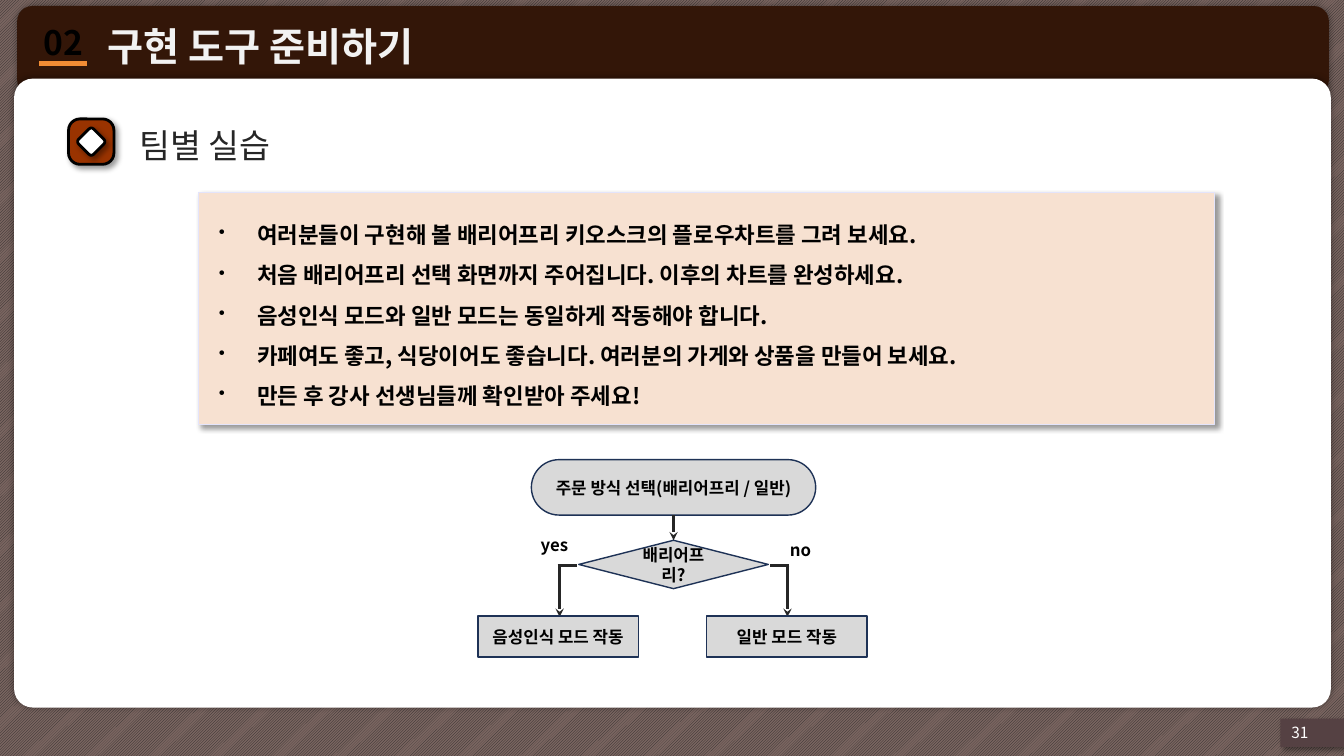
from lxml.etree import SubElement
from pptx import Presentation
from pptx.dml.color import RGBColor
from pptx.enum.dml import MSO_PATTERN
from pptx.enum.shapes import MSO_CONNECTOR, MSO_SHAPE
from pptx.enum.text import MSO_ANCHOR, MSO_AUTO_SIZE, PP_ALIGN
from pptx.oxml.ns import qn
from pptx.util import Emu, Pt

PX = 9144  # 100 px to the inch
FONT = "Noto Sans CJK KR"
BLACK = RGBColor(0x00, 0x00, 0x00)
WHITE = RGBColor(0xFF, 0xFF, 0xFF)
INK = RGBColor(0x26, 0x26, 0x26)
TITLE_GREY = RGBColor(0xF2, 0xF2, 0xF2)
TAUPE = RGBColor(0x7A, 0x65, 0x60)
BROWN = RGBColor(0x33, 0x16, 0x08)
PLUM = RGBColor(0x55, 0x41, 0x43)
ORANGE = RGBColor(0xF2, 0x8C, 0x34)
RUST = RGBColor(0x99, 0x33, 0x00)
PEACH = RGBColor(0xF7, 0xE1, 0xD1)
LAVENDER = RGBColor(0xE3, 0xE4, 0xFB)
NODE_FILL = RGBColor(0xD9, 0xD9, 0xD9)
NAVY = RGBColor(0x1E, 0x32, 0x56)

# Blur and distance in points, direction in degrees
GLOW = (5, 0, 0)
DROP = (4, 3, 45)

TASKS = [
    "여러분들이 구현해 볼 배리어프리 키오스크의 플로우차트를 그려 보세요.",
    "처음 배리어프리 선택 화면까지 주어집니다. 이후의 차트를 완성하세요.",
    "음성인식 모드와 일반 모드는 동일하게 작동해야 합니다.",
    "카페여도 좋고, 식당이어도 좋습니다. 여러분의 가게와 상품을 만들어 보세요.",
    "만든 후 강사 선생님들께 확인받아 주세요!",
]


def box(*lengths):
    return [Emu(length * PX) for length in lengths]


def add_run(paragraph, text, size, color=BLACK, bold=False):
    run = paragraph.add_run()
    run.text = text
    font = run.font
    font.size, font.bold, font.name = Pt(size), bold, FONT
    font.color.rgb = color
    SubElement(font._element, qn("a:ea"), typeface=FONT)


def set_frame(frame, anchor, insets=(10, 5, 10, 5), wrap=True):
    frame.word_wrap = wrap
    frame.auto_size = MSO_AUTO_SIZE.NONE
    frame.vertical_anchor = anchor
    (frame.margin_left, frame.margin_top,
     frame.margin_right, frame.margin_bottom) = box(*insets)


def add_label(slide, place, text, size, color=BLACK, bold=False,
              align=PP_ALIGN.LEFT, anchor=MSO_ANCHOR.TOP, **frame_options):
    frame = slide.shapes.add_textbox(*box(*place)).text_frame
    set_frame(frame, anchor, **frame_options)
    frame.paragraphs[0].alignment = align
    add_run(frame.paragraphs[0], text, size, color, bold)


def add_panel(slide, kind, place, fill, line=None, width=1, corner=None, shadow=None):
    panel = slide.shapes.add_shape(kind, *box(*place))
    if corner is not None:
        panel.adjustments[0] = corner
    panel.fill.solid()
    panel.fill.fore_color.rgb = fill
    if line is None:
        panel.line.fill.background()
    else:
        panel.line.color.rgb = line
        panel.line.width = Pt(width)
    panel.shadow.inherit = False
    if shadow:
        blur, distance, angle = shadow
        effects = panel.element.spPr.find(qn("a:effectLst"))
        outer = SubElement(effects, qn("a:outerShdw"), blurRad=str(Pt(blur)),
                           dist=str(Pt(distance)), dir=str(angle * 60000),
                           algn="ctr", rotWithShape="0")
        color = SubElement(outer, qn("a:srgbClr"), val=str(BLACK))
        SubElement(color, qn("a:alpha"), val="40000")
    return panel


def add_line(slide, start, end, color=INK, width=2, arrow=False):
    line = slide.shapes.add_connector(MSO_CONNECTOR.STRAIGHT, *box(*start, *end))
    line.line.color.rgb = color
    line.line.width = Pt(width)
    if arrow:
        SubElement(line.line._get_or_add_ln(), qn("a:tailEnd"), type="stealth")
    SubElement(line.element.spPr, qn("a:effectLst"))


def add_node(slide, kind, place, text, corner=None):
    node = add_panel(slide, kind, place, NODE_FILL, NAVY, corner=corner)
    set_frame(node.text_frame, MSO_ANCHOR.MIDDLE)
    paragraph = node.text_frame.paragraphs[0]
    paragraph.alignment = PP_ALIGN.CENTER
    add_run(paragraph, text, 12, bold=True)


def add_backdrop(slide):
    hatch = add_panel(slide, MSO_SHAPE.RECTANGLE, (-2, -9, 1338, 767), TAUPE)
    hatch.fill.patterned()
    hatch.fill.pattern = MSO_PATTERN.LIGHT_UPWARD_DIAGONAL
    hatch.fill.fore_color.rgb = INK
    hatch.fill.back_color.rgb = TAUPE
    rounded = MSO_SHAPE.ROUNDED_RECTANGLE
    add_panel(slide, rounded, (17, 6, 1301, 88), BROWN, corner=0.17, shadow=GLOW)
    add_panel(slide, rounded, (14, 78, 1306, 624), WHITE, corner=0.03, shadow=GLOW)
    add_panel(slide, rounded, (1270, 713, 66, 28), PLUM, corner=0, shadow=DROP)


def add_header(slide):
    add_line(slide, (39, 63), (86, 63), ORANGE, 3)
    add_label(slide, (31, 17, 64, 50), "02", 24, bold=True,
              align=PP_ALIGN.CENTER, wrap=False)
    title = slide.shapes.title
    title.left, title.top, title.width, title.height = box(100, 15, 860, 60)
    set_frame(title.text_frame, MSO_ANCHOR.MIDDLE, insets=(7, 7, 7, 7))
    heading = title.text_frame.paragraphs[0]
    heading.alignment = PP_ALIGN.LEFT
    add_run(heading, "구현 도구 준비하기", 28, TITLE_GREY, True)
    slide.shapes.element.append(title.element)  # in front of the backdrop
    add_label(slide, (1271, 707, 76, 40), "31", 11, WHITE, anchor=MSO_ANCHOR.MIDDLE)


def add_section(slide):
    add_label(slide, (131, 117, 822, 54), "팀별 실습", 24, INK, insets=(7, 7, 7, 7))
    rounded = MSO_SHAPE.ROUNDED_RECTANGLE
    add_panel(slide, rounded, (68, 118, 45, 45), RUST, BLACK, 2, 0.25, DROP)
    diamond = add_panel(slide, rounded, (80, 130, 21, 21), WHITE, BLACK, 2, 0.15, DROP)
    diamond.rotation = 45


def add_tasks(slide):
    card = add_panel(slide, MSO_SHAPE.RECTANGLE, (197, 191, 1008, 230),
                     PEACH, LAVENDER, 0.75, shadow=DROP)
    frame = card.text_frame
    set_frame(frame, MSO_ANCHOR.MIDDLE, insets=(20, 5, 5, 5))
    for index, task in enumerate(TASKS):
        paragraph = frame.add_paragraph() if index else frame.paragraphs[0]
        properties = paragraph._p.get_or_add_pPr()
        properties.set("marL", str(38 * PX))
        properties.set("indent", str(-38 * PX))
        SubElement(properties, qn("a:buSzPct"), val="80000")
        SubElement(properties, qn("a:buChar"), char="•")
        paragraph.alignment = PP_ALIGN.LEFT
        paragraph.line_spacing = 1.5
        add_run(paragraph, task, 16, bold=True)


def add_flowchart(slide):
    center = 668
    add_node(slide, MSO_SHAPE.ROUNDED_RECTANGLE, (527, 456, 282, 55),
             "주문 방식 선택(배리어프리 / 일반)", corner=0.5)
    add_line(slide, (center, 511), (center, 536), arrow=True)
    add_node(slide, MSO_SHAPE.FLOWCHART_DECISION, (574, 536, 188, 48), "배리어프리?")
    # Branches mirror each other around the decision
    branches = [(-1, "yes", (506, 526), "음성인식 모드 작동"),
                (1, "no", (750, 531), "일반 모드 작동")]
    for side, answer, corner, mode in branches:
        drop = center + side * 113
        add_line(slide, (drop, 561), (drop, 612), arrow=True)
        add_line(slide, (drop + side * 2, 561), (drop - side * 17, 561))
        add_label(slide, (*corner, 88, 30), answer, 12, bold=True, align=PP_ALIGN.CENTER)
        add_node(slide, MSO_SHAPE.ROUNDED_RECTANGLE, (drop - 81 + (side > 0), 611, 159, 41),
                 mode, corner=0)


def main():
    presentation = Presentation()
    presentation.slide_width, presentation.slide_height = box(1333, 750)
    slide = presentation.slides.add_slide(presentation.slide_layouts[5])
    add_backdrop(slide)
    add_header(slide)
    add_section(slide)
    add_tasks(slide)
    add_flowchart(slide)
    presentation.save("out.pptx")


if __name__ == "__main__":
    main()
